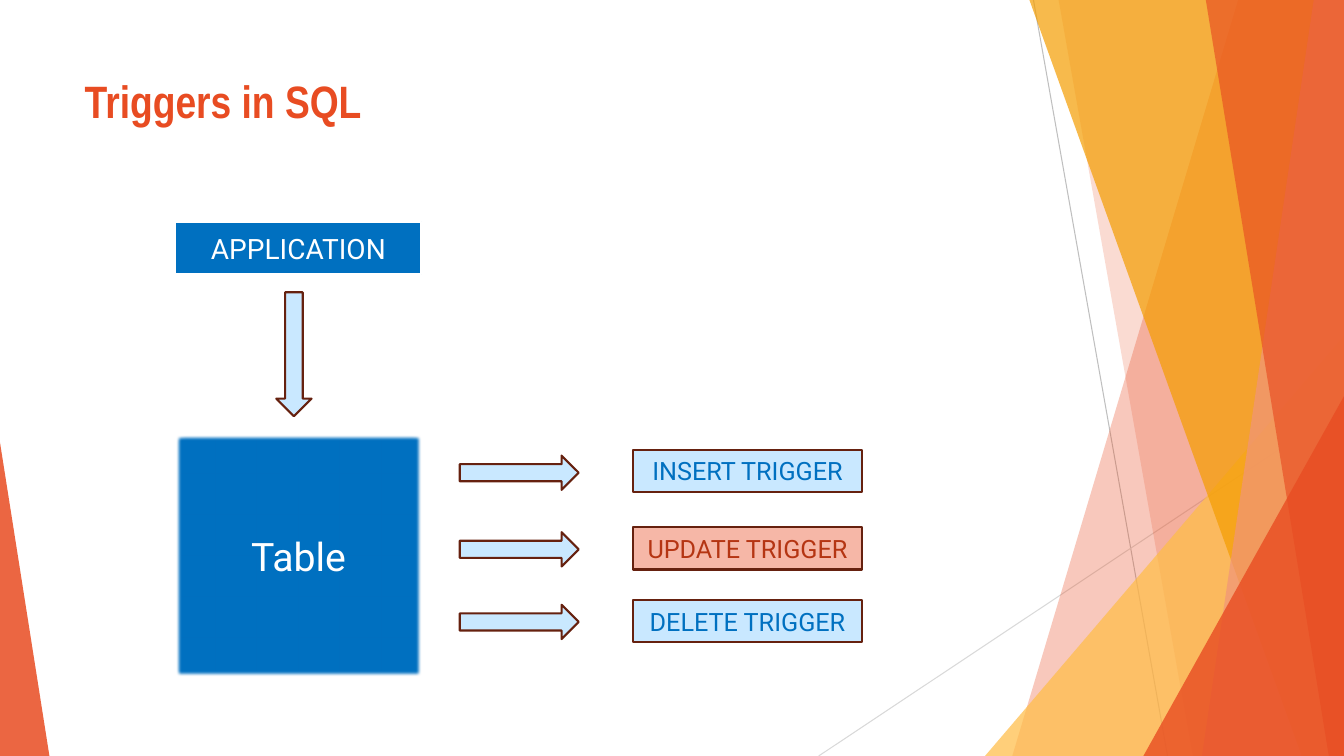
from lxml import etree
from pptx import Presentation
from pptx import oxml
from pptx import util as u
from pptx.dml.color import RGBColor
from pptx.enum import shapes, text
from pptx.oxml import ns

W, H = 13.33, 7.5
COLORS = {
    "red": "E84C22", "gold": "FFBD47", "amber": "F49D00", "salmon": "F1947A",
    "blue": "0070C0", "sky": "C9E8FF", "pink": "F6B7A7", "rust": "B53513",
    "brown": "66210F", "white": "FFFFFF", "grey": "BFBFBF", "pale": "D9D9D9",
}
RGB = {name: RGBColor.from_string(value) for name, value in COLORS.items()}
KIND = shapes.MSO_SHAPE

prs = Presentation()
prs.slide_width, prs.slide_height = u.Inches(W), u.Inches(H)
s = prs.slides.add_slide(prs.slide_layouts[5])


def paint_facet(sp, color, opacity):
    """Translucent fill without outline."""
    sp.shadow.inherit = False
    sp.fill.solid()
    sp.fill.fore_color.rgb = RGB[color]
    sp.line.fill.background()
    clr = sp.fill._xPr.find(".//" + ns.qn("a:srgbClr"))
    etree.SubElement(clr, ns.qn("a:alpha")).set("val", str(opacity * 1000))


def add_block(kind, box, fill, line, label="", size=18, color="white"):
    """Outlined shape with an optional centred label."""
    sp = s.shapes.add_shape(kind, *map(u.Inches, box))
    sp.shadow.inherit = False
    sp.fill.solid()
    sp.fill.fore_color.rgb = RGB[fill]
    sp.line.color.rgb = RGB[line]
    sp.line.width = u.Pt(1.5)
    if label:
        tf = sp.text_frame
        tf.word_wrap = True
        tf.vertical_anchor = text.MSO_ANCHOR.MIDDLE
        p = tf.paragraphs[0]
        p.alignment = text.PP_ALIGN.CENTER
        r = p.add_run()
        r.text = label
        r.font.size, r.font.name = u.Pt(size), "Roboto"
        r.font.color.rgb = RGB[color]
    return sp


# Thin background lines
for x1, y1, x2, y2, color in [(10.25, 0, 11.58, H, "grey"), (W, 4.03, 8.12, H, "pale")]:
    ln = s.shapes.add_connector(shapes.MSO_CONNECTOR.STRAIGHT, *map(u.Inches, (x1, y1, x2, y2)))
    ln.line.color.rgb = RGB[color]
    ln.line.width = u.Pt(0.75)
    etree.SubElement(ln._element.spPr, ns.qn("a:effectLst"))

# Facets: a band runs from its slanted left side (top x, bottom x) to the right edge,
# a triangle is given by its box and the place of its tip
facets = [
    ("band", (12.28, 10.04), "red", 30),
    ("band", (10.5, 11.83), "red", 20),
    ("triangle", (9.77, 3.33, 3.56, 4.17, 1), "gold", 72),
    ("band", (10.21, 12.91), "amber", 70),
    ("band", (13.03, 11.92), "salmon", 70),
    ("band", (11.96, 13.18), "red", 65),
    ("triangle", (11.34, 3.93, 1.99, 3.57, 1), "red", 80),
    ("triangle", (0, 4.39, 0.49, 3.11, 0), "red", 85),
]
for form, geometry, color, opacity in facets:
    if form == "band":
        top, bottom = geometry
        outline = [(u.Inches(x), u.Inches(y)) for x, y in [(W, 0), (W, H), (bottom, H)]]
        fb = s.shapes.build_freeform(u.Inches(top), 0)
        fb.add_line_segments(outline, close=True)
        sp = fb.convert_to_shape()
    else:
        *box, tip = geometry
        sp = s.shapes.add_shape(KIND.ISOSCELES_TRIANGLE, *map(u.Inches, box))
        sp.adjustments[0] = tip
    paint_facet(sp, color, opacity)

# Title
title = s.shapes.title
title.left, title.top, title.width, title.height = map(u.Inches, (0.74, 0.67, 9.4, 0.65))
tf = title.text_frame
tf.word_wrap = True
tf.auto_size = text.MSO_AUTO_SIZE.NONE
tf.vertical_anchor = text.MSO_ANCHOR.MIDDLE
p = tf.paragraphs[0]
p.alignment = text.PP_ALIGN.LEFT
r = p.add_run()
r.text = "Triggers in SQL"
r.font.name, r.font.size, r.font.bold = "Arial Narrow", u.Pt(32.4), True
r.font.color.rgb = RGB["red"]

# Application writes to the table
add_block(KIND.RECTANGLE, (1.74, 2.2, 2.44, 0.52), "blue", "white", "APPLICATION", 20)
add_block(KIND.DOWN_ARROW, (2.74, 2.9, 0.35, 1.23), "sky", "brown")
table = add_block(KIND.RECTANGLE, (1.74, 4.31, 2.44, 2.4), "blue", "white", "Table", 28)
effects = table._element.spPr.find(ns.qn("a:effectLst"))
effects.append(oxml.parse_xml(f'<a:softEdge {ns.nsdecls("a")} rad="31750"/>'))

# Table fires one trigger per operation
triggers = [
    ("INSERT", 4.46, 4.52, "sky", "blue"),
    ("UPDATE", 5.23, 5.28, "pink", "rust"),
    ("DELETE", 5.95, 6, "sky", "blue"),
]
for operation, box_top, arrow_top, fill, color in triggers:
    add_block(KIND.RIGHT_ARROW, (4.56, arrow_top, 1.18, 0.34), "sky", "brown")
    add_block(KIND.RECTANGLE, (6.28, box_top, 2.27, 0.42), fill, "brown",
              f"{operation} TRIGGER", 18, color)

prs.save("out.pptx")
